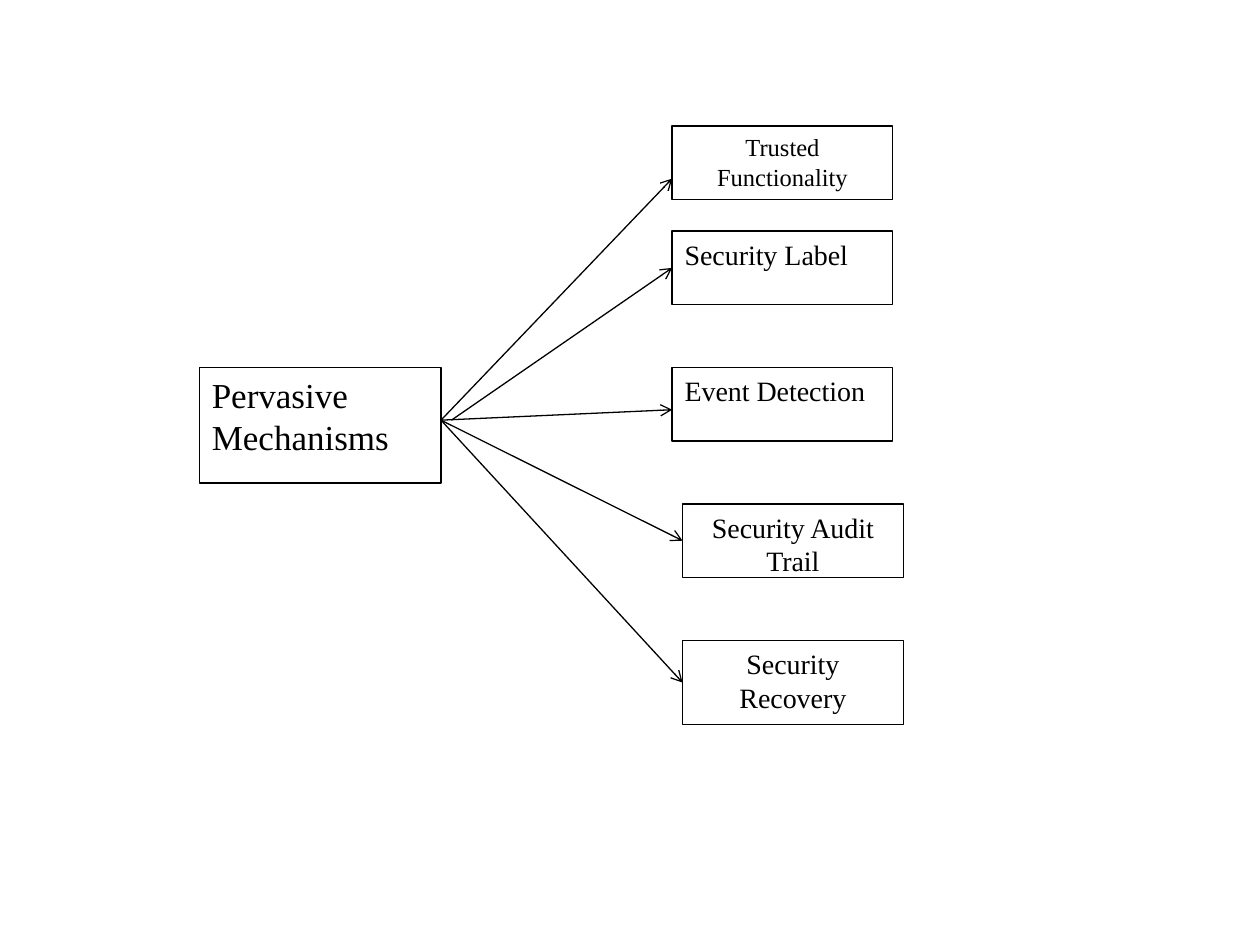
from lxml import etree
from pptx import Presentation
from pptx.dml.color import RGBColor
from pptx.enum.shapes import MSO_CONNECTOR, MSO_SHAPE
from pptx.enum.text import MSO_ANCHOR, PP_ALIGN
from pptx.oxml.ns import qn
from pptx.util import Cm, Pt

RECTANGLE = MSO_SHAPE.RECTANGLE
STRAIGHT = MSO_CONNECTOR.STRAIGHT
TOP = MSO_ANCHOR.TOP
LEFT, CENTER = PP_ALIGN.LEFT, PP_ALIGN.CENTER

# Content, lengths in centimetres
COLORS = {"ink": "000000", "paper": "FFFFFF"}
FONT = "Times New Roman"
LINE_WIDTH = Pt(0.74)
ROOT = ("Pervasive Mechanisms", 4.02, 7.41, 4.87, 2.33, 20, LEFT)
BRANCH_WIDTH = 4.45
ARROW_X, ARROW_Y = 8.89, 8.47
# text, left, top, height, font size, alignment, arrow start x, arrow end y
BRANCHES = [
    ("Trusted Functionality", 13.55, 2.54, 1.48, 14, CENTER, ARROW_X, 3.6),
    ("Security Label", 13.55, 4.66, 1.48, 16, LEFT, 9.1, 5.4),
    ("Event Detection", 13.55, 7.41, 1.48, 16, LEFT, ARROW_X, 8.26),
    ("Security Audit Trail", 13.76, 10.16, 1.48, 16, CENTER, ARROW_X, 10.9),
    ("Security Recovery", 13.76, 12.91, 1.69, 16, CENTER, ARROW_X, 13.76),
]


def color(name):
    return RGBColor.from_string(COLORS[name])


def style_line(line):
    line.color.rgb = color("ink")
    line.width = LINE_WIDTH


def add_box(slide, text, left, top, width, height, size, alignment):
    shape = slide.shapes.add_shape(
        RECTANGLE, Cm(left), Cm(top), Cm(width), Cm(height))
    shape.shadow.inherit = False
    shape.fill.solid()
    shape.fill.fore_color.rgb = color("paper")
    style_line(shape.line)
    text_frame = shape.text_frame
    text_frame.word_wrap = True
    text_frame.vertical_anchor = TOP
    text_frame.text = text
    paragraph = text_frame.paragraphs[0]
    paragraph.alignment = alignment
    font = paragraph.runs[0].font
    font.name = FONT
    font.size = Pt(size)
    font.color.rgb = color("ink")


def add_arrow(slide, start_x, start_y, end_x, end_y):
    connector = slide.shapes.add_connector(
        STRAIGHT, Cm(start_x), Cm(start_y), Cm(end_x), Cm(end_y))
    style_line(connector.line)
    outline = connector.line._get_or_add_ln()
    etree.SubElement(outline, qn("a:tailEnd"), type="arrow")
    etree.SubElement(connector._element.spPr, qn("a:effectLst"))


presentation = Presentation()
presentation.slide_width, presentation.slide_height = Cm(25.4), Cm(19.05)
slide = presentation.slides.add_slide(presentation.slide_layouts[6])

# Boxes
add_box(slide, *ROOT)
for text, left, top, height, size, alignment, _, _ in BRANCHES:
    add_box(slide, text, left, top, BRANCH_WIDTH, height, size, alignment)

# Arrows from the root to each branch
for _, left, _, _, _, _, start_x, end_y in BRANCHES:
    add_arrow(slide, start_x, ARROW_Y, left, end_y)

presentation.save("out.pptx")
